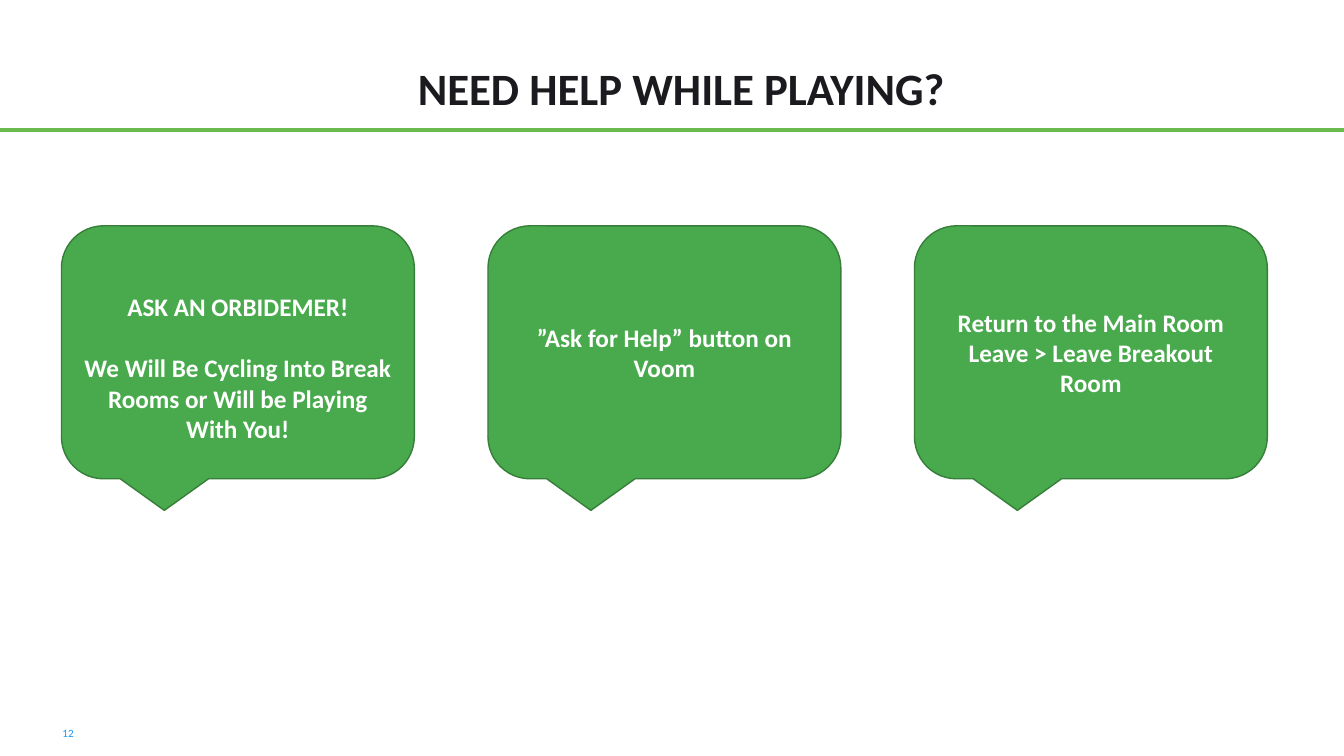
from pptx import Presentation
from pptx.dml.color import RGBColor
from pptx.enum.shapes import MSO_CONNECTOR, MSO_SHAPE
from pptx.enum.text import MSO_ANCHOR, PP_ALIGN
from pptx.oxml.ns import qn
from pptx.util import Inches, Pt
from lxml import etree

CALLOUT = MSO_SHAPE.ROUNDED_RECTANGULAR_CALLOUT
STRAIGHT = MSO_CONNECTOR.STRAIGHT
MIDDLE, BOTTOM = MSO_ANCHOR.MIDDLE, MSO_ANCHOR.BOTTOM
LEFT, CENTER = PP_ALIGN.LEFT, PP_ALIGN.CENTER

COLORS = {
    "title": "1B1A1F",
    "rule": "6ABA4F",
    "number": "139DF2",
    "bubble": "49AA4D",
    "outline": "367E39",
    "white": "FFFFFF",
}


class HelpSlide:
    """Holds the style and the current slide, and draws its elements."""

    def __init__(self, prs, font="Calibri"):
        self.s = prs.slides.add_slide(prs.slide_layouts[6])
        self.font = font

    def color(self, name):
        return RGBColor.from_string(COLORS[name])

    def style_text(self, tf, text, size, color, bold, align, anchor):
        tf.word_wrap = True
        tf.vertical_anchor = anchor
        tf.text = text
        for p in tf.paragraphs:
            p.alignment = align
            for r in p.runs:
                r.font.name = self.font
                r.font.size = Pt(size)
                r.font.bold = bold
                r.font.color.rgb = self.color(color)

    def text(self, box, text, size, color, inset, bold=False, align=LEFT):
        sp = self.s.shapes.add_textbox(*map(Inches, box))
        tf = sp.text_frame
        tf.margin_left = tf.margin_right = Inches(inset)
        tf.margin_top = tf.margin_bottom = Inches(inset)
        self.style_text(tf, text, size, color, bold, align, BOTTOM)
        return tf

    def rule(self, y, width):
        line = self.s.shapes.add_connector(
            STRAIGHT, 0, Inches(y), Inches(width), Inches(y))
        line.line.color.rgb = self.color("rule")
        line.line.width = Pt(2.5)
        etree.SubElement(line._element.spPr, qn("a:effectLst"))

    def bubble(self, box, text):
        sp = self.s.shapes.add_shape(CALLOUT, *map(Inches, box))
        sp.shadow.inherit = False
        sp.fill.solid()
        sp.fill.fore_color.rgb = self.color("bubble")
        sp.line.color.rgb = self.color("outline")
        sp.line.width = Pt(1)
        self.style_text(sp.text_frame, text, 18, "white", True, CENTER, MIDDLE)
        return sp.text_frame


def main():
    prs = Presentation()
    prs.slide_width, prs.slide_height = Inches(13.33), Inches(7.5)
    slide = HelpSlide(prs)

    slide.rule(1.29, 13.33)
    title = slide.text((0.63, 0, 12.26, 1.17), "NEED HELP WHILE PLAYING?",
                       32, "title", 0.03, bold=True, align=CENTER)
    title.paragraphs[0].line_spacing = 0.9
    slide.text((0.61, 7.2, 0.56, 0.15), "12", 8, "number", 0.01)

    tips = [
        "ASK AN ORBIDEMER!\n"
        "We Will Be Cycling Into Break Rooms or Will be Playing With You!",
        "”Ask for Help” button on Voom",
        "Return to the Main Room\nLeave > Leave Breakout Room",
    ]
    bubbles = [slide.bubble((0.61 + i * 4.23, 2.24, 3.5, 2.51), tip)
               for i, tip in enumerate(tips)]
    bubbles[0].margin_top = Inches(0.35)
    bubbles[0].paragraphs[1].space_before = Pt(22)

    prs.save("out.pptx")


if __name__ == "__main__":
    main()
